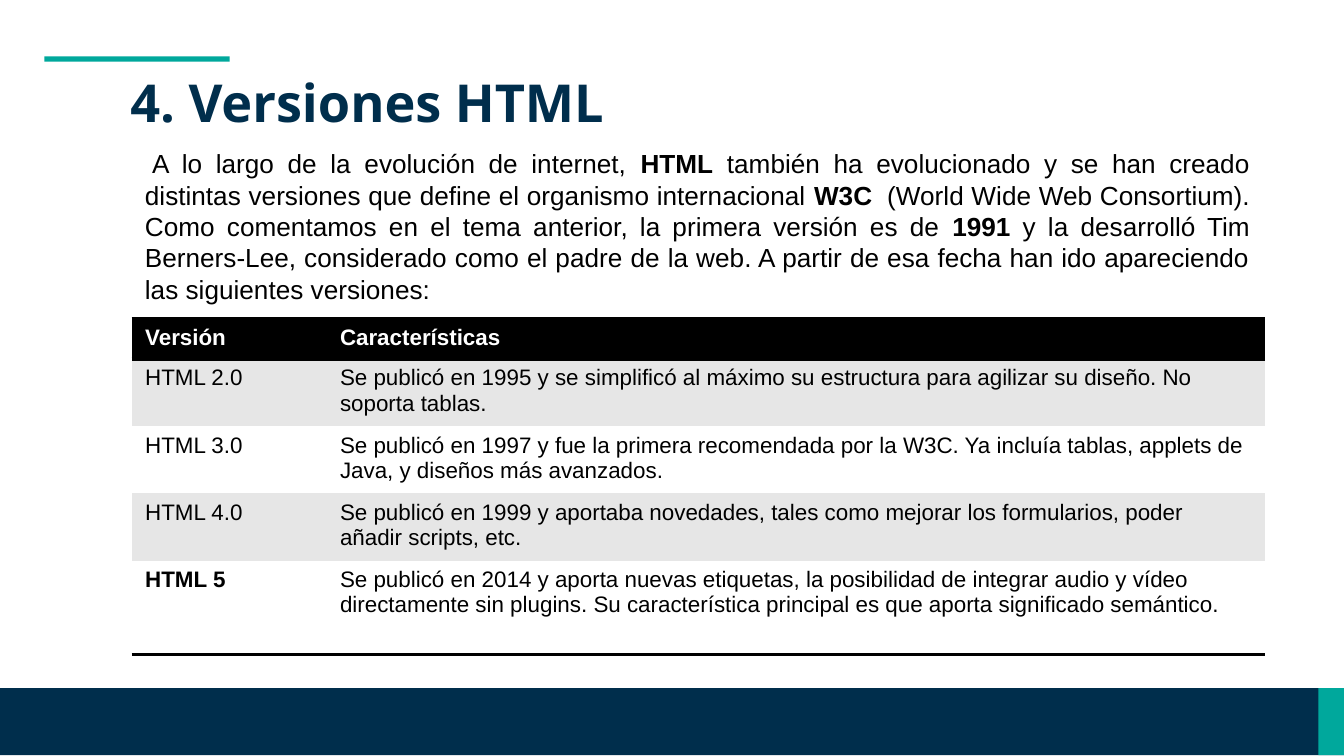
from pptx import Presentation
from pptx.dml.color import RGBColor
from pptx.enum.shapes import MSO_SHAPE
from pptx.enum.text import MSO_ANCHOR, MSO_AUTO_SIZE, PP_ALIGN
from pptx.oxml import parse_xml
from pptx.oxml.ns import nsdecls, qn
from pptx.util import Inches, Pt

RECT = MSO_SHAPE.RECTANGLE
TOP = MSO_ANCHOR.TOP
LEFT, JUSTIFY = PP_ALIGN.LEFT, PP_ALIGN.JUSTIFY
NO_FIT = MSO_AUTO_SIZE.NONE
PLAIN_TABLE = "{2D5ABB26-0587-4C30-8999-92F81FD0307C}"
NBSP = chr(160)

NAVY, TEAL, BLACK, WHITE, GREY = "002E4C", "00A89C", "000000", "FFFFFF", "E6E6E6"

BARS = [
    ((0.33, 0.42, 1.38, 0.04), TEAL),
    ((0, 5.12, 10, 0.5), NAVY),
    ((9.81, 5.12, 0.19, 0.5), TEAL),
]
TITLE = "4. Versiones HTML"
INTRO = [
    (NBSP + "A lo largo de la evolución de internet, ", False),
    ("HTML", True),
    (" también ha evolucionado y se han creado distintas versiones que define "
     "el organismo internacional ", False),
    ("W3C", True),
    (NBSP + " (World Wide Web Consortium). Como comentamos en el tema anterior, "
     "la primera versión es de ", False),
    ("1991", True),
    (" y la desarrolló Tim Berners-Lee, considerado como el padre de la web. "
     "A partir de esa fecha han ido apareciendo las siguientes versiones:", False),
]
VERSIONS = [
    ("Versión", "Características"),
    ("HTML 2.0", "Se publicó en 1995 y se simplificó al máximo su estructura "
                 "para agilizar su diseño. No soporta tablas."),
    ("HTML 3.0", "Se publicó en 1997 y fue la primera recomendada por la W3C. "
                 "Ya incluía tablas, applets de Java, y diseños más avanzados."),
    ("HTML 4.0", "Se publicó en 1999 y aportaba novedades, tales como mejorar "
                 "los formularios, poder añadir scripts, etc."),
    ("HTML 5", "Se publicó en 2014 y aporta nuevas etiquetas, la posibilidad de "
               "integrar audio y vídeo directamente sin plugins. Su característica "
               "principal es que aporta significado semántico."),
]
COL_WIDTHS = [1.45, 6.98]
ROW_HEIGHTS = [0.3, 0.5, 0.5, 0.5, 0.7]


def rgb(value):
    """Turn a hex string into a colour."""
    return RGBColor.from_string(value)


def place(shape, box):
    """Move and size a shape in inches."""
    for name, value in zip(("left", "top", "width", "height"), box):
        setattr(shape, name, Inches(value))


def add_run(p, text, color, **font):
    """Add a run with the given font values."""
    r = p.add_run()
    r.text = text
    for name, value in font.items():
        setattr(r.font, name, value)
    r.font.color.rgb = rgb(color)


def set_frame(tf, **values):
    """Set text frame values."""
    for name, value in values.items():
        setattr(tf, name, value)


def add_border(cell, side):
    """Draw a black rule on one side of a cell."""
    cell._tc.get_or_add_tcPr().append(parse_xml(
        f'<a:{side} {nsdecls("a")} w="{Pt(2)}"><a:solidFill>'
        f'<a:srgbClr val="{BLACK}"/></a:solidFill></a:{side}>'))


def add_bars(s):
    """Add the accent line and the footer band."""
    for box, color in BARS:
        sp = s.shapes.add_shape(RECT, *map(Inches, box))
        sp.shadow.inherit = False
        sp.fill.solid()
        sp.fill.fore_color.rgb = rgb(color)
        sp.line.fill.background()


def add_texts(s):
    """Fill the title and add the introduction."""
    title = s.shapes.title
    place(title, (0.87, 0.42, 8.98, 0.63))
    margin = Inches(0.1)
    set_frame(title.text_frame, margin_left=margin, margin_right=margin,
              margin_top=margin, margin_bottom=margin, word_wrap=True,
              vertical_anchor=TOP, auto_size=NO_FIT)
    p = title.text_frame.paragraphs[0]
    p.alignment = LEFT
    add_run(p, TITLE, NAVY, name="Open Sans", size=Pt(28), bold=True)

    tf = s.shapes.add_textbox(*map(Inches, (0.98, 1.05, 8.42, 1.75))).text_frame
    set_frame(tf, word_wrap=True, vertical_anchor=TOP)
    p = tf.paragraphs[0]
    p.alignment = JUSTIFY
    for text, bold in INTRO:
        add_run(p, text, BLACK, name="Arial", size=Pt(14), bold=bold)


def add_versions(s):
    """Add the table of versions."""
    last = len(VERSIONS) - 1
    box = (0.98, 2.37, sum(COL_WIDTHS), sum(ROW_HEIGHTS))
    table = s.shapes.add_table(len(VERSIONS), len(COL_WIDTHS), *map(Inches, box)).table
    table._tbl.tblPr.find(qn("a:tableStyleId")).text = PLAIN_TABLE
    table.horz_banding = False
    for column, width in zip(table.columns, COL_WIDTHS):
        column.width = Inches(width)
    for i, (row, height) in enumerate(zip(table.rows, ROW_HEIGHTS)):
        row.height = Inches(height)
        fill = BLACK if i == 0 else GREY if i % 2 else WHITE
        for j, cell in enumerate(row.cells):
            if i == 0:
                add_border(cell, "lnT")
            if i in (0, last):
                add_border(cell, "lnB")
            cell.fill.solid()
            cell.fill.fore_color.rgb = rgb(fill)
            add_run(cell.text_frame.paragraphs[0], VERSIONS[i][j],
                    WHITE if i == 0 else BLACK, name="Arial", size=Pt(12),
                    bold=i == 0 or (i == last and j == 0))


def main():
    """Build the slide and save it."""
    prs = Presentation()
    prs.slide_width = Inches(10)
    prs.slide_height = prs.slide_width * 9 // 16
    s = prs.slides.add_slide(prs.slide_layouts[5])
    add_bars(s)
    add_texts(s)
    add_versions(s)
    prs.save("out.pptx")


if __name__ == "__main__":
    main()
